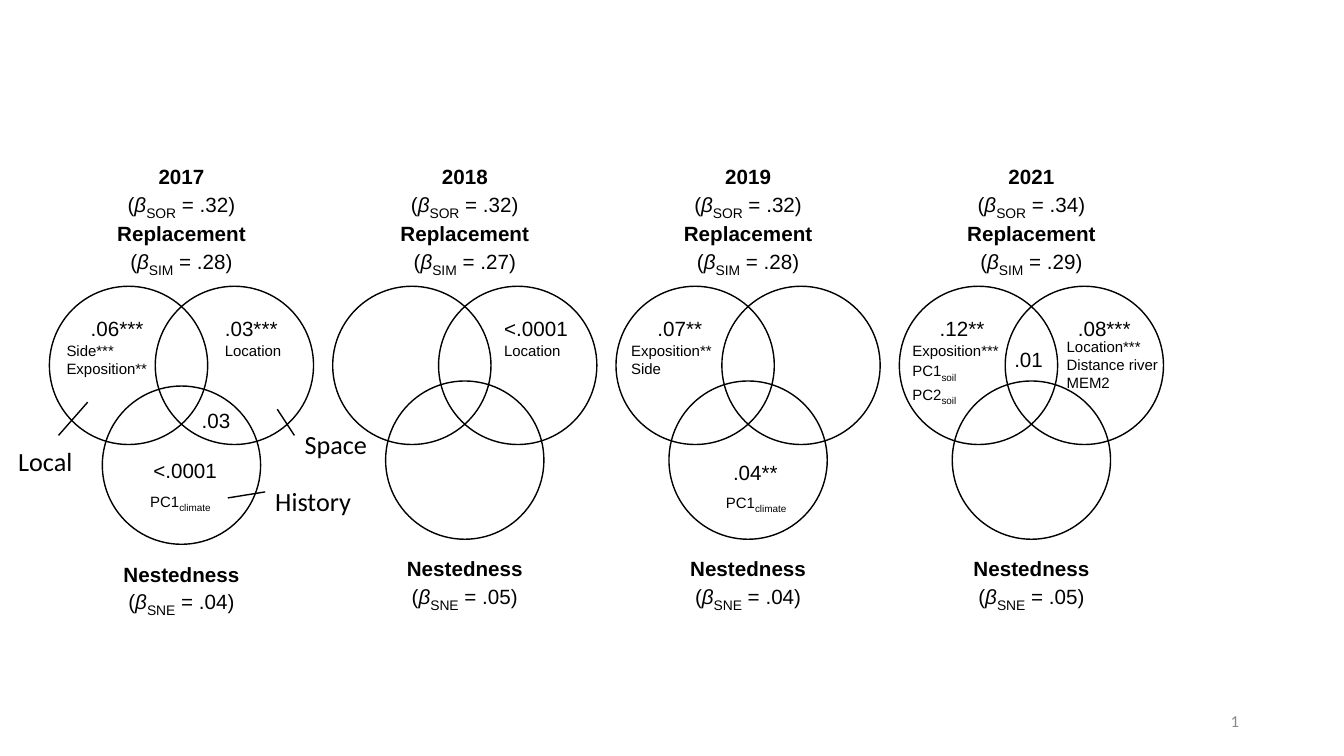
"""Build a slide of four yearly Venn diagrams of beta diversity partitioning."""
from dataclasses import dataclass

from lxml import etree
from pptx import Presentation, util as u
from pptx.dml.color import RGBColor
from pptx.enum import shapes, text
from pptx.oxml.ns import qn


@dataclass(frozen=True)
class Theme:
    ink: RGBColor = RGBColor(0, 0, 0)
    muted: RGBColor = RGBColor(0x89, 0x89, 0x89)
    body_font: str = "Arial"
    label_font: str = "Calibri"
    value: float = 14.7
    value_sub: float = 17
    factor: float = 10.7
    factor_sub: float = 12.3
    label: float = 18.7
    page: float = 12
    line: float = 1


theme = Theme()
LEFT, CENTER, RIGHT = text.PP_ALIGN.LEFT, text.PP_ALIGN.CENTER, text.PP_ALIGN.RIGHT


def write(parent, left, top, width, height, lines, size, sub=None, align=LEFT,
          font=theme.body_font, color=theme.ink, headed=False, spacing=None):
    """Add a text box; "|" parts the runs, "_" opens a subscript."""
    frame = parent.add_textbox(*map(u.Inches, (left, top, width, height))).text_frame
    frame.word_wrap = True
    frame.margin_left = frame.margin_right = u.Inches(0.13)
    frame.margin_top = frame.margin_bottom = u.Inches(0.07)
    frame.text = "\n".join(lines)
    for row, paragraph in enumerate(frame.paragraphs):
        pieces = paragraph.text.split("|")
        paragraph.text = ""
        paragraph.alignment = align
        paragraph.line_spacing = spacing
        for piece in pieces:
            run = paragraph.add_run()
            run.text = piece.lstrip("_")
            run.font.name = font
            run.font.size = u.Pt(size)
            run.font.color.rgb = color
            run.font.bold = headed and row == 0
            run.font.italic = piece == "β"
            if piece.startswith("_"):
                run.font.size = u.Pt(sub)
                run.font._element.set("baseline", "-25000")
    return frame


prs = Presentation()
prs.slide_width, prs.slide_height = u.Inches(13.33), u.Inches(7.5)
slide = prs.slides.add_slide(prs.slide_layouts[6])

FIRST, PITCH = 0.49, 2.81
DIAMETER, SHIFT, CIRCLE_TOP = 1.57, 1.05, 2.84
HEAD_WIDTH, HEAD_HEIGHT = 1.58, 0.66
VALUE_TOP, FACTOR_TOP = 3.06, 3.32

# year, SOR, SIM, SNE, drop of the lower part, values, factors
years = [
    ("2017", ".32", ".28", ".04", 0.05,
     [(0.28, VALUE_TOP, ".06***"), (1.61, VALUE_TOP, ".03***"),
      (1.38, 3.98, ".03"), (0.9, 4.47, "<.0001")],
     [(0.04, FACTOR_TOP, 1.11, LEFT, ["Side***", "Exposition**"]),
      (1.61, FACTOR_TOP, 0.87, LEFT, ["Location"]),
      (0.82, 4.79, 0.96, CENTER, ["PC1|_climate"])]),
    ("2018", ".32", ".27", ".05", 0,
     [(1.57, VALUE_TOP, "<.0001")],
     [(1.57, FACTOR_TOP, 0.87, LEFT, ["Location"])]),
    ("2019", ".32", ".28", ".04", 0,
     [(0.28, VALUE_TOP, ".07**"), (1.03, 4.49, ".04**")],
     [(0.02, FACTOR_TOP, 1.11, LEFT, ["Exposition**", "Side"]),
      (0.91, 4.8, 0.96, CENTER, ["PC1|_climate"])]),
    ("2021", ".34", ".29", ".05", 0,
     [(0.27, VALUE_TOP, ".12**"), (1.64, VALUE_TOP, ".08***"), (1.01, 3.37, ".01")],
     [(0, FACTOR_TOP, 1.26, LEFT, ["Exposition***", "PC1|_soil", "PC2|_soil"]),
      (1.53, 3.28, 1.2, LEFT, ["Location***", "Distance river", "MEM2"])]),
]

for column, (year, sor, sim, sne, drop, values, factors) in enumerate(years):
    left = FIRST + column * PITCH
    middle = left + (SHIFT + DIAMETER) / 2
    for top, heading, index, beta in [(1.56, year, "SOR", sor),
                                      (2.12, "Replacement", "SIM", sim),
                                      (5.45 + drop, "Nestedness", "SNE", sne)]:
        write(slide.shapes, middle - HEAD_WIDTH / 2, top, HEAD_WIDTH, HEAD_HEIGHT,
              [heading, f"(|β|_{index}| = {beta})"], theme.value, theme.value_sub,
              CENTER, headed=True)

    venn = slide.shapes.add_group_shape().shapes
    for across, top in [(0, CIRCLE_TOP), (SHIFT, CIRCLE_TOP), (SHIFT / 2, 3.78 + drop)]:
        circle = venn.add_shape(shapes.MSO_SHAPE.OVAL, u.Inches(left + across),
                                u.Inches(top), u.Inches(DIAMETER), u.Inches(DIAMETER))
        circle.shadow.inherit = False
        circle.fill.background()
        circle.line.color.rgb = theme.ink
        circle.line.width = u.Pt(theme.line)
    for across, top, value in values:
        write(venn, left + across, top, 0.95, 0.38, [value], theme.value)
    for across, top, width, align, names in factors:
        write(venn, left + across, top, width, 0.13 + 0.18 * len(names), names,
              theme.factor, theme.factor_sub, align)

for name, left, top, width, pointer in [
        ("Space", 2.89, 4.14, 1.01, (2.92, 4.32, 2.75, 4.06)),
        ("History", 2.6, 4.7, 1.12, (2.63, 4.88, 2.26, 4.94)),
        ("Local", 0.05, 4.3, 0.95, (0.58, 4.32, 0.87, 3.99))]:
    write(slide.shapes, left, top, width, 0.49, [name], theme.label,
          font=theme.label_font, spacing=1.14)
    leader = slide.shapes.add_connector(shapes.MSO_CONNECTOR.STRAIGHT,
                                        *map(u.Inches, pointer))
    leader.line.color.rgb = theme.ink
    leader.line.width = u.Pt(theme.line)
    etree.SubElement(leader._element.spPr, qn("a:effectLst"))

page = write(slide.shapes, 9.42, 6.95, 3, 0.4, ["1"], theme.page, align=RIGHT,
             font=theme.label_font, color=theme.muted)
page.vertical_anchor = text.MSO_ANCHOR.MIDDLE

prs.save("out.pptx")
